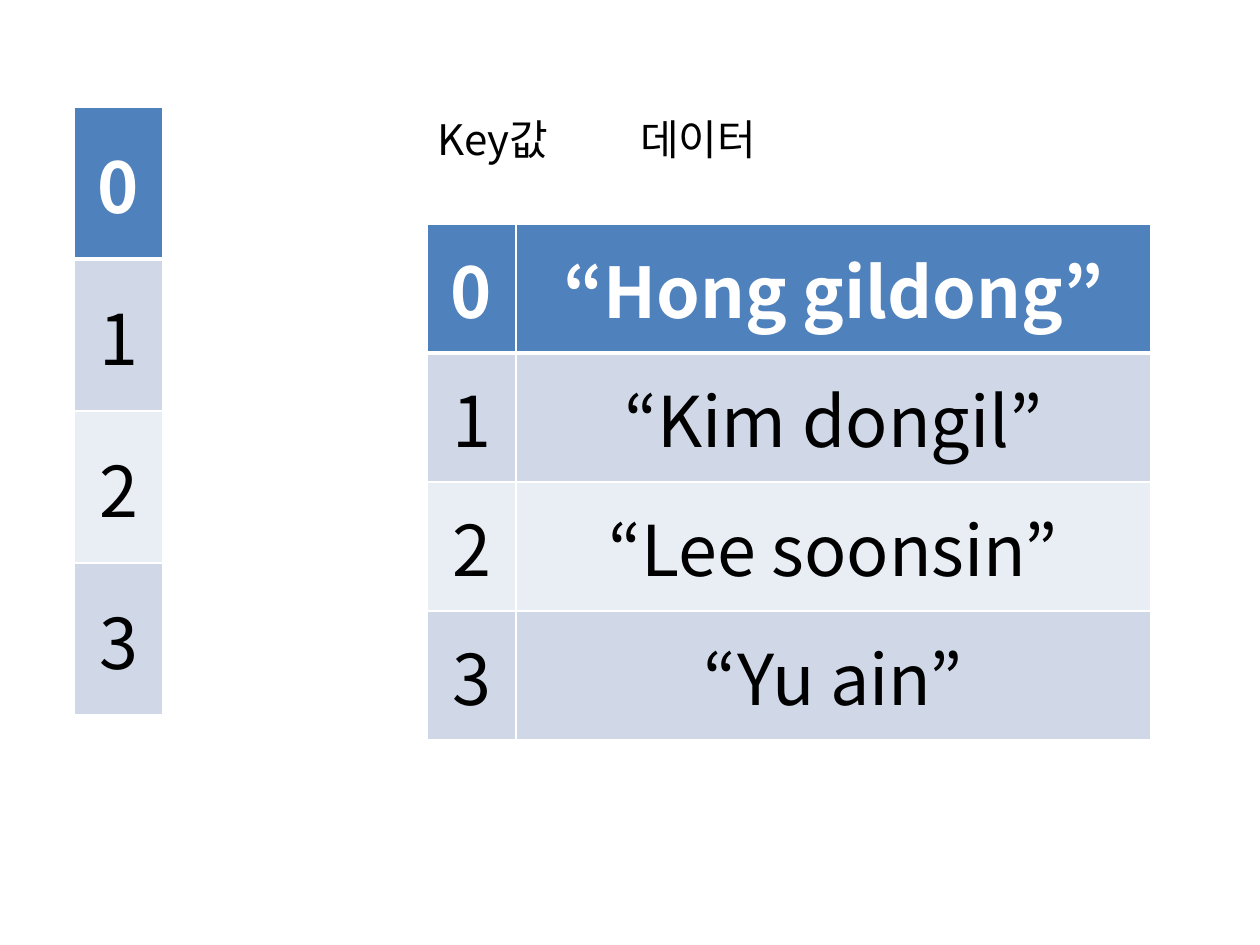
import pptx
import pptx.util
import pptx.dml.color
import pptx.enum.text
import pptx.oxml
import pptx.oxml.ns

# Content: lengths in pixels
SIZE = (1260, 945)
TABLES = [
    {"at": (427, 224), "cols": (89, 635), "row": 129,
     "rows": [("0", "“Hong gildong”"), ("1", "“Kim dongil”"),
              ("2", "“Lee soonsin”"), ("3", "“Yu ain”")]},
    {"at": (74, 107), "cols": (89,), "row": 152,
     "rows": [("0",), ("1",), ("2",), ("3",)]},
]
LABEL = {"at": (425, 107, 368, 63), "text": "Key값\t데이터", "tab": 203}

THEME = {
    "font": "Noto Sans CJK KR", "cell": 40, "label": 24,
    "head": "4F81BD", "bands": ("D0D8E8", "E9EDF4"),
    "light": "FFFFFF", "dark": "000000", "rule": 1, "thick": 3,
}


def px(n):
    return pptx.util.Emu(n * 914400 // 126)


def rgb(code):
    return pptx.dml.color.RGBColor.from_string(code)


def node(text):
    return pptx.oxml.parse_xml(
        text.replace(" ", " " + pptx.oxml.ns.nsdecls("a") + " ", 1))


def style(run, size, color, bold=False):
    font = run.font
    vals = {"name": THEME["font"], "size": pptx.util.Pt(size), "bold": bold}
    for key, val in vals.items():
        setattr(font, key, val)
    font.color.rgb = rgb(color)
    latin = run._r.get_or_add_rPr().find(pptx.oxml.ns.qn("a:latin"))
    latin.addnext(node(f'<a:ea typeface="{THEME["font"]}"/>'))


def edge(cell, row):
    wide = {"T": row == 1, "B": row == 0}
    props = cell._tc.get_or_add_tcPr()
    for i, side in enumerate("LRTB"):
        width = THEME["thick" if wide.get(side) else "rule"]
        props.insert(i, node(
            f'<a:ln{side} w="{pptx.util.Pt(width)}"><a:solidFill>'
            f'<a:srgbClr val="{THEME["light"]}"/></a:solidFill></a:ln{side}>'))


def table(slide, data):
    rows, cols, high = data["rows"], data["cols"], data["row"]
    box = (*data["at"], sum(cols), high * len(rows))
    grid = slide.shapes.add_table(len(rows), len(cols), *map(px, box)).table
    for col, width in zip(grid.columns, cols):
        col.width = px(width)
    for r, words in enumerate(rows):
        grid.rows[r].height = px(high)
        fill = THEME["bands"][(r - 1) % 2] if r else THEME["head"]
        for c, word in enumerate(words):
            cell = grid.cell(r, c)
            cell.vertical_anchor = pptx.enum.text.MSO_ANCHOR.MIDDLE
            cell.fill.solid()
            cell.fill.fore_color.rgb = rgb(fill)
            edge(cell, r)
            para = cell.text_frame.paragraphs[0]
            para.alignment = pptx.enum.text.PP_ALIGN.CENTER
            run = para.add_run()
            run.text = word
            style(run, THEME["cell"], THEME["dark" if r else "light"], r == 0)


def label(slide, data):
    frame = slide.shapes.add_textbox(*map(px, data["at"])).text_frame
    vals = {"word_wrap": False,
            "auto_size": pptx.enum.text.MSO_AUTO_SIZE.SHAPE_TO_FIT_TEXT}
    for key, val in vals.items():
        setattr(frame, key, val)
    para = frame.paragraphs[0]
    run = para.add_run()
    run.text = data["text"]
    style(run, THEME["label"], THEME["dark"])
    # Tab stop that lines up the second heading
    para._p.get_or_add_pPr().append(node(
        f'<a:tabLst ><a:tab pos="{px(data["tab"])}" algn="l"/></a:tabLst>'))


# Build the slide
deck = pptx.Presentation()
deck.slide_width, deck.slide_height = map(px, SIZE)
page = deck.slides.add_slide(deck.slide_layouts[6])
table(page, TABLES[0])
label(page, LABEL)
table(page, TABLES[1])
deck.save("out.pptx")
